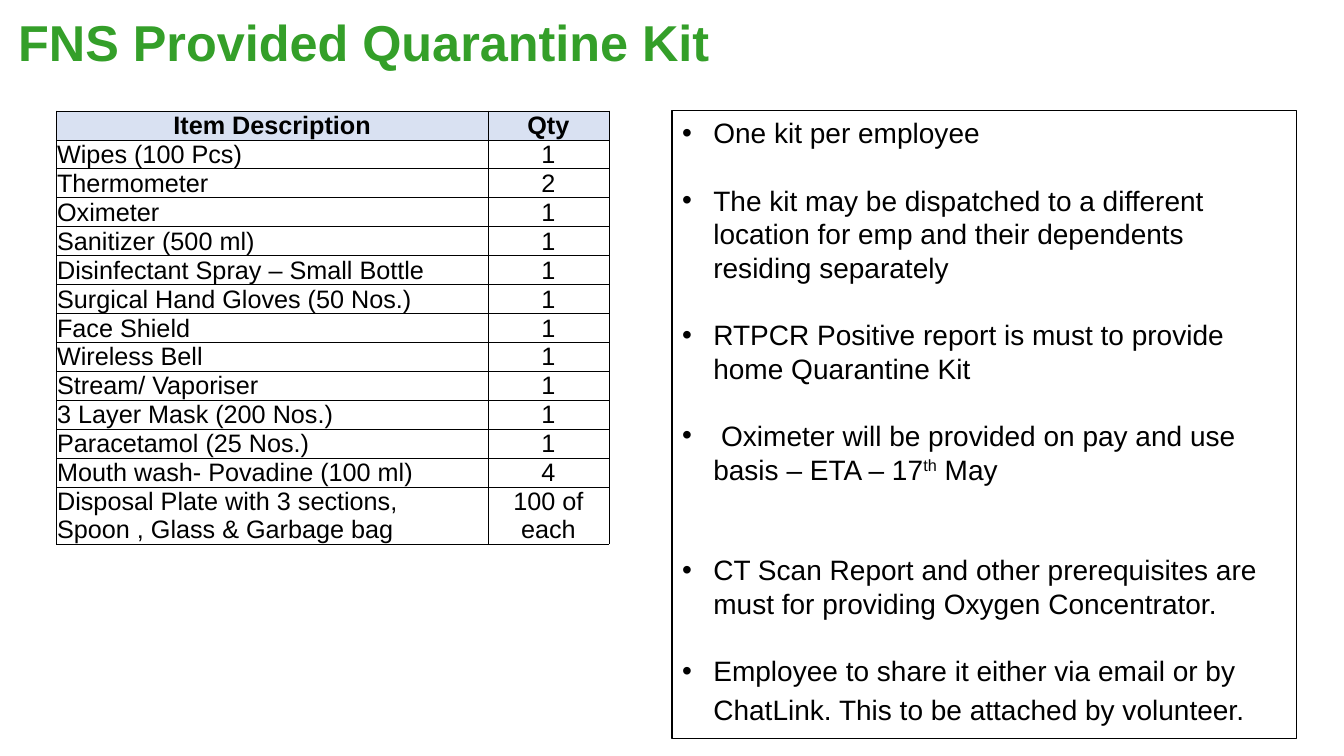
from lxml import etree
from pptx import Presentation
from pptx.dml.color import RGBColor
from pptx.enum.text import MSO_ANCHOR, MSO_AUTO_SIZE, PP_ALIGN
from pptx.oxml.ns import qn
from pptx.util import Inches, Pt

GREEN = RGBColor(0x34, 0x9F, 0x29)
BLACK = RGBColor(0, 0, 0)
PALE_BLUE = RGBColor(0xD9, 0xE1, 0xF2)
LEFT, CENTER = PP_ALIGN.LEFT, PP_ALIGN.CENTER
TOP, MIDDLE = MSO_ANCHOR.TOP, MSO_ANCHOR.MIDDLE
NO_AUTOFIT = MSO_AUTO_SIZE.NONE
TITLE_AND_CONTENT = 1

KIT_ITEMS = [
    ("Item Description", "Qty"),
    ("Wipes (100 Pcs)", "1"),
    ("Thermometer", "2"),
    ("Oximeter", "1"),
    ("Sanitizer (500 ml)", "1"),
    ("Disinfectant Spray – Small Bottle", "1"),
    ("Surgical Hand Gloves (50 Nos.)", "1"),
    ("Face Shield", "1"),
    ("Wireless Bell", "1"),
    ("Stream/ Vaporiser", "1"),
    ("3 Layer Mask (200 Nos.)", "1"),
    ("Paracetamol (25 Nos.)", "1"),
    ("Mouth wash- Povadine (100 ml)", "4"),
    ("Disposal Plate with 3 sections, Spoon , Glass & Garbage bag", "100 of each"),
]

KIT_RULES = [
    (0, [("One kit per employee", {})]),
    (1, [("The kit may be dispatched to a different location for emp "
          "and their dependents residing separately", {})]),
    (1, [("RTPCR Positive report is must to provide home Quarantine Kit", {})]),
    (1, [(" Oximeter will be provided on pay and use basis – ETA – 17", {}),
         ("th", {"raised": True}), (" May", {})]),
    (2, [("CT Scan Report and other prerequisites are must for "
          "providing Oxygen Concentrator.", {})]),
    (1, [("Employee to share it either via email or by ChatLink. "
          "This to be attached by volunteer.", {}), (" ", {"size": 24})]),
]


class SlideBuilder:
    """Holds the style and the current slide; lengths are percentages of the slide."""

    font_name = "Arial"
    line_height = 24

    def __init__(self, presentation):
        self.width = presentation.slide_width
        self.height = presentation.slide_height
        layout = presentation.slide_layouts[TITLE_AND_CONTENT]
        self.slide = presentation.slides.add_slide(layout)

    def across(self, percent):
        return round(self.width * percent / 100)

    def down(self, percent):
        return round(self.height * percent / 100)

    def place(self, shape, left, top, width, height):
        shape.left, shape.top = self.across(left), self.down(top)
        shape.width, shape.height = self.across(width), self.down(height)
        shape.text_frame.auto_size = NO_AUTOFIT
        shape.text_frame.word_wrap = True
        shape.text_frame.vertical_anchor = TOP

    def style_run(self, run, size, color=BLACK, bold=False, raised=False):
        run.font.name = self.font_name
        run.font.size = Pt(size)
        run.font.bold = bold
        run.font.color.rgb = color
        if raised:
            run._r.get_or_add_rPr().set("baseline", "30000")

    def title(self, text, *box):
        shape = self.slide.shapes.title
        self.place(shape, *box)
        frame = shape.text_frame
        frame.margin_left = frame.margin_right = 0
        frame.margin_top = frame.margin_bottom = 0
        frame.text = text
        paragraph = frame.paragraphs[0]
        paragraph.alignment = LEFT
        paragraph.line_spacing = 0.8
        self.style_run(paragraph.runs[0], 36, GREEN, bold=True)

    def bullet_box(self, rules, *box):
        shape = self.slide.placeholders[1]
        self.place(shape, *box)
        shape.line.color.rgb = BLACK
        shape.line.width = Pt(0.75)
        frame = shape.text_frame
        for index, (gap_lines, pieces) in enumerate(rules):
            paragraph = frame.add_paragraph() if index else frame.paragraphs[0]
            paragraph.alignment = LEFT
            paragraph.line_spacing = 1.0
            paragraph.space_before = Pt(gap_lines * self.line_height)
            properties = paragraph._p.get_or_add_pPr()
            properties.set("marL", str(Inches(0.31)))
            properties.set("indent", str(-Inches(0.31)))
            for text, style in pieces:
                run = paragraph.add_run()
                run.text = text
                self.style_run(run, **{"size": 20, **style})

    def border(self, cell):
        properties = cell._tc.get_or_add_tcPr()
        for side in ("a:lnL", "a:lnR", "a:lnT", "a:lnB"):
            line = etree.SubElement(properties, qn(side), w=str(Pt(0.5)))
            fill = etree.SubElement(line, qn("a:solidFill"))
            etree.SubElement(fill, qn("a:srgbClr"), val=str(BLACK))

    def cell(self, cell, text, alignment, header):
        self.border(cell)
        if header:
            cell.fill.solid()
            cell.fill.fore_color.rgb = PALE_BLUE
        else:
            cell.fill.background()
        cell.margin_left = cell.margin_right = cell.margin_top = Pt(0.5)
        cell.margin_bottom = 0
        cell.vertical_anchor = MIDDLE
        cell.text_frame.text = text
        paragraph = cell.text_frame.paragraphs[0]
        paragraph.alignment = alignment
        self.style_run(paragraph.runs[0], 18, bold=header)

    def table(self, rows, left, top, column_widths, row_height, last_row_height):
        heights = [row_height] * (len(rows) - 1) + [last_row_height]
        frame = self.slide.shapes.add_table(
            len(rows), len(column_widths), self.across(left), self.down(top),
            self.across(sum(column_widths)), self.down(sum(heights)))
        table = frame.table
        table.first_row = table.horz_banding = False
        for column, width in zip(table.columns, column_widths):
            column.width = self.across(width)
        for row_index, (values, height) in enumerate(zip(rows, heights)):
            table.rows[row_index].height = self.down(height)
            header = row_index == 0
            for column_index, text in enumerate(values):
                alignment = CENTER if header or column_index else LEFT
                self.cell(table.cell(row_index, column_index), text, alignment, header)


def main():
    presentation = Presentation()
    presentation.slide_width = Inches(13.33)
    presentation.slide_height = Inches(7.5)
    builder = SlideBuilder(presentation)
    builder.title("FNS Provided Quarantine Kit", 1.35, 3.07, 96.17, 9.73)
    builder.table(KIT_ITEMS, 4.2, 14.67, [32.11, 9], 3.73, 5.87)
    builder.bullet_box(KIT_RULES, 50, 14.67, 46.44, 83.07)
    presentation.save("out.pptx")


if __name__ == "__main__":
    main()
